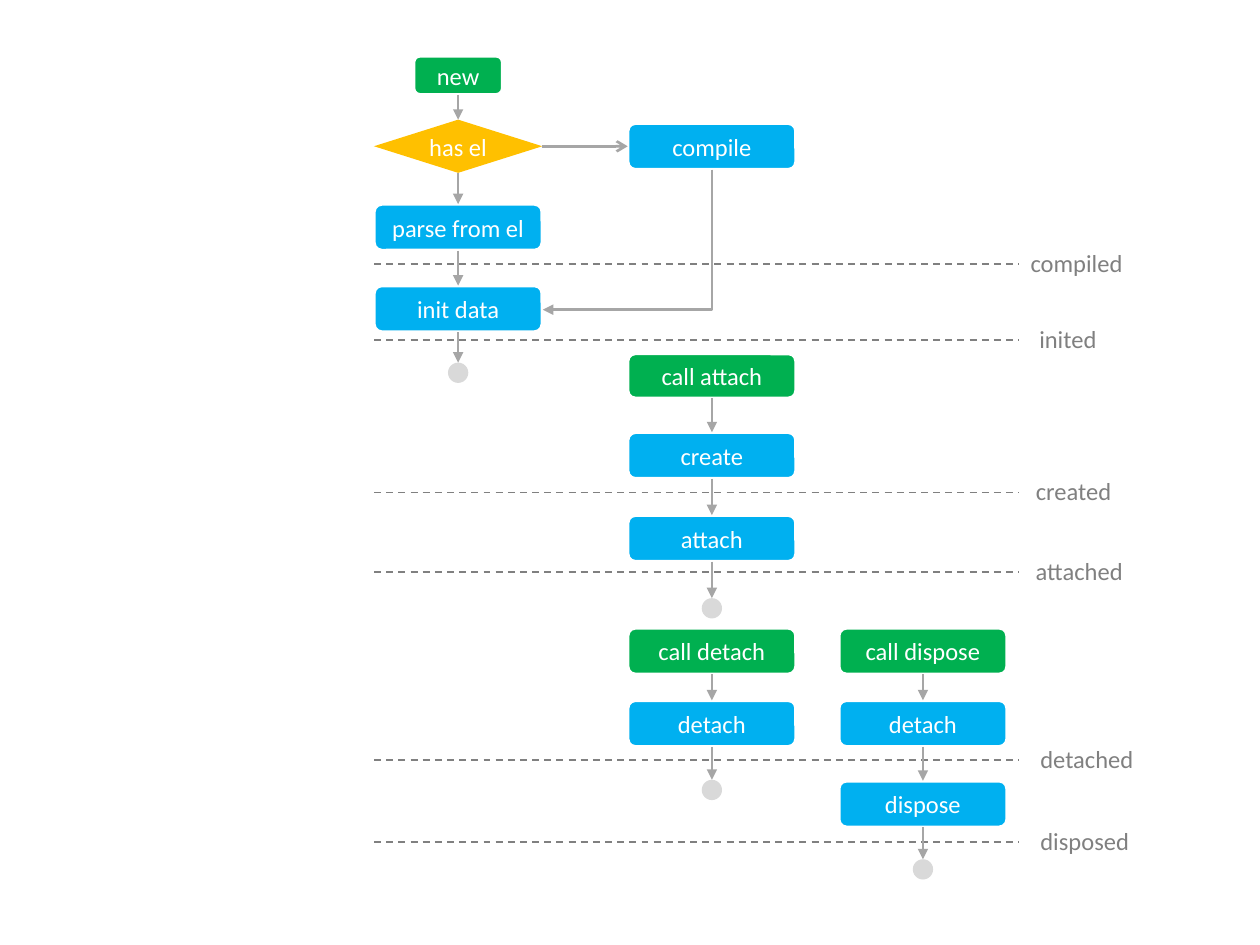
from lxml import etree
from pptx import Presentation
from pptx.dml.color import RGBColor
from pptx.enum.dml import MSO_LINE
from pptx.enum.shapes import MSO_CONNECTOR, MSO_SHAPE
from pptx.enum.text import MSO_ANCHOR, MSO_AUTO_SIZE, PP_ALIGN
from pptx.oxml.ns import qn
from pptx.util import Pt

ROUND, DIAMOND = MSO_SHAPE.ROUNDED_RECTANGLE, MSO_SHAPE.DIAMOND
DOT = MSO_SHAPE.FLOWCHART_CONNECTOR
STRAIGHT, ELBOW = MSO_CONNECTOR.STRAIGHT, MSO_CONNECTOR.ELBOW
DASH = MSO_LINE.DASH
MIDDLE, CENTER = MSO_ANCHOR.MIDDLE, PP_ALIGN.CENTER
FIT = MSO_AUTO_SIZE.SHAPE_TO_FIT_TEXT

WHITE = RGBColor(0xFF, 0xFF, 0xFF)
GREEN = RGBColor(0x00, 0xB0, 0x50)
BLUE = RGBColor(0x00, 0xB0, 0xF0)
AMBER = RGBColor(0xFF, 0xC0, 0x00)
ARROW_GRAY = RGBColor(0xA6, 0xA6, 0xA6)
LABEL_GRAY = RGBColor(0x80, 0x80, 0x80)
DOT_GRAY = RGBColor(0xD9, 0xD9, 0xD9)

BOX_W, BOX_H, DOT_D, LABEL_H = 96.2, 26.6, 11.6, 24.5
INIT_X, VIEW_X, DISPOSE_X = 261.8, 406.8, 527.4


class Flow:
    font, size = "Calibri", Pt(14)

    def __init__(self, s):
        self.s = s

    def add_text(self, tf, text, color):
        p = tf.paragraphs[0]
        r = p.add_run()
        r.text = text
        r.font.name, r.font.size = self.font, self.size
        r.font.color.rgb = color
        return p

    def shape(self, kind, cx, top, w, h, fill):
        sp = self.s.shapes.add_shape(kind, Pt(cx - w / 2), Pt(top), Pt(w), Pt(h))
        sp.shadow.inherit = False
        sp.fill.solid()
        sp.fill.fore_color.rgb = fill
        sp.line.fill.background()
        return sp

    def node(self, text, cx, top, fill, w=BOX_W, h=BOX_H, kind=ROUND):
        sp = self.shape(kind, cx, top, w, h, fill)
        if kind == ROUND:
            sp.line.color.rgb = WHITE
            sp.line.width = Pt(2)
        tf = sp.text_frame
        tf.word_wrap = True
        tf.vertical_anchor = MIDDLE
        self.add_text(tf, text, WHITE).alignment = CENTER

    def dot(self, cx, top):
        self.shape(DOT, cx, top, DOT_D, DOT_D, DOT_GRAY)

    def line(self, x1, y1, x2, y2, color, width, kind=STRAIGHT):
        c = self.s.shapes.add_connector(kind, Pt(x1), Pt(y1), Pt(x2), Pt(y2))
        c.line.color.rgb = color
        c.line.width = Pt(width)
        etree.SubElement(c._element.spPr, qn("a:effectLst"))
        return c

    def arrow(self, x1, y1, x2, y2, head="triangle", kind=STRAIGHT):
        c = self.line(x1, y1, x2, y2, ARROW_GRAY, 1.5, kind)
        etree.SubElement(c.get_or_add_ln(), qn("a:tailEnd"), type=head)
        return c

    def corner(self, x1, y1, x2, y2):
        w, h = y2 - y1, x1 - x2
        left, top = (x1 + x2 - w) / 2, (y1 + y2 - h) / 2
        c = self.arrow(left, top, left + w, top + h, kind=ELBOW)
        spPr = c._element.spPr
        spPr.find(qn("a:xfrm")).set("rot", "5400000")
        spPr.find(qn("a:prstGeom")).set("prst", "bentConnector2")

    def stage(self, text, y, left, w):
        self.line(213.8, y, 582, y, LABEL_GRAY, 1).line.dash_style = DASH
        top = y - LABEL_H / 2 - 0.4
        tb = self.s.shapes.add_textbox(Pt(left), Pt(top), Pt(w), Pt(LABEL_H))
        tf = tb.text_frame
        tf.word_wrap = False
        tf.auto_size = FIT
        self.add_text(tf, text, LABEL_GRAY)

    def chain(self, cx, nodes, end):
        bottom = None
        for text, top, fill, w, h, kind in nodes:
            self.node(text, cx, top, fill, w, h, kind)
            if bottom is not None:
                self.arrow(cx, bottom, cx, top)
            bottom = top + h
        self.dot(cx, end)
        self.arrow(cx, bottom, cx, end)


def box(text, top, fill=BLUE, w=BOX_W, h=BOX_H, kind=ROUND):
    return text, top, fill, w, h, kind


CHAINS = [
    (INIT_X, [box("new", 31.9, GREEN, 51, 22.3),
              box("has el", 68.4, AMBER, h=30.4, kind=DIAMOND),
              box("parse from el", 116.6), box("init data", 163.2)], 207.2),
    (VIEW_X, [box("call attach", 202, GREEN, h=25.6),
              box("create", 247), box("attach", 294.4)], 341.8),
    (VIEW_X, [box("call detach", 358.8, GREEN), box("detach", 400.2)], 445.6),
    (DISPOSE_X, [box("call dispose", 358.8, GREEN), box("detach", 400.2),
                 box("dispose", 446.2)], 491),
]
STAGES = [
    ("compiled", 151, 581.8, 67.7), ("inited", 194.4, 586.8, 47.5),
    ("created", 281.4, 584.8, 58.3), ("attached", 327, 584.8, 64.8),
    ("detached", 434.4, 587.4, 68.4), ("disposed", 481.2, 587.4, 65.5),
]


def main():
    prs = Presentation()
    prs.slide_width, prs.slide_height = Pt(720), Pt(540)
    flow = Flow(prs.slides.add_slide(prs.slide_layouts[6]))
    for stage in STAGES:
        flow.stage(*stage)
    for chain in CHAINS:
        flow.chain(*chain)
    flow.node("compile", VIEW_X, 70.4, BLUE)
    flow.arrow(309.8, 83.6, 358.7, 83.6, "arrow")
    flow.corner(VIEW_X, 97, 310.2, 177)
    prs.save("out.pptx")


if __name__ == "__main__":
    main()
